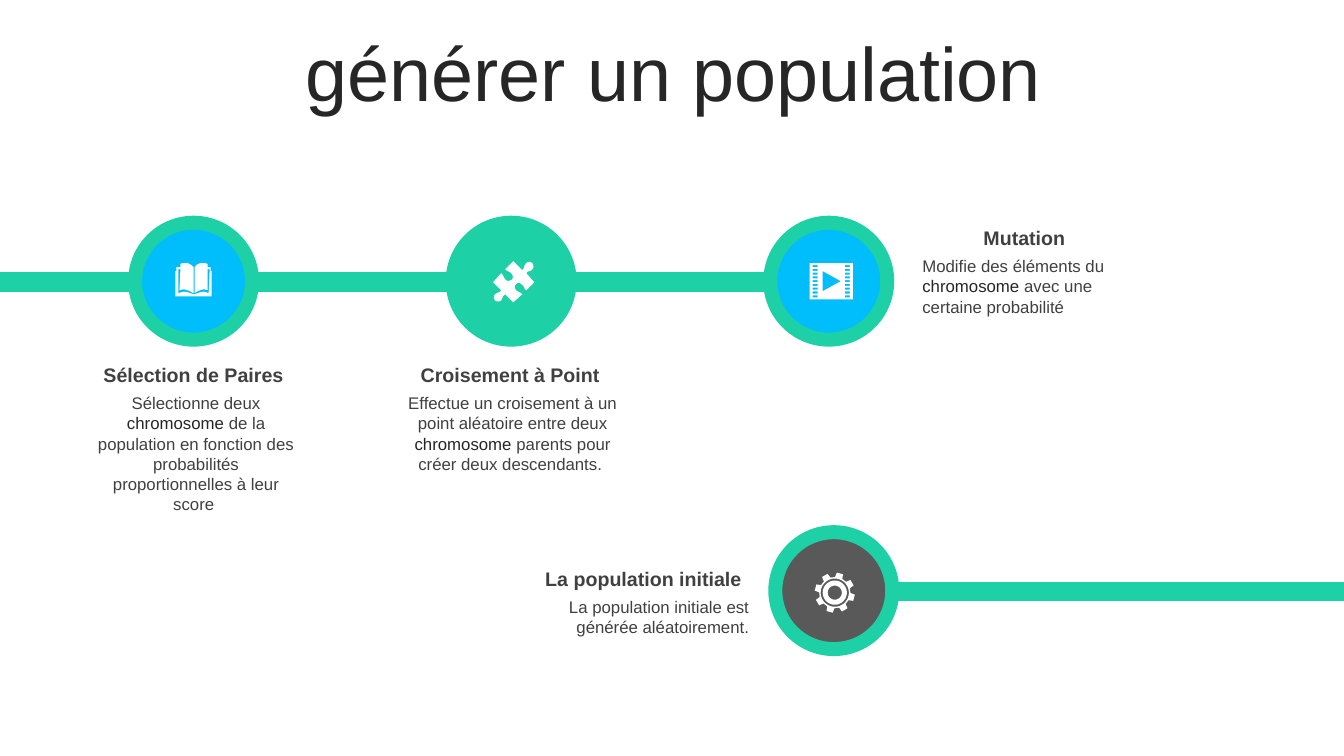
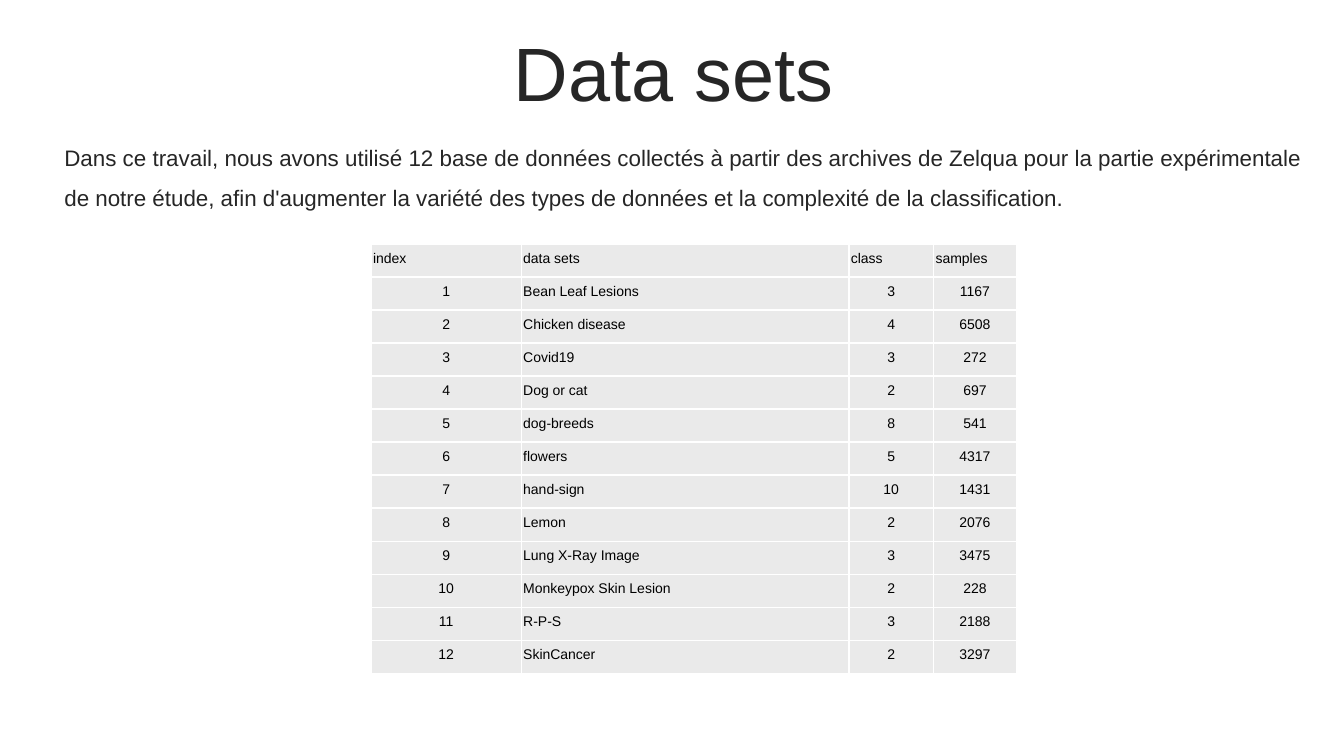
from math import cos, sin, radians

from lxml.etree import SubElement
from pptx import Presentation
from pptx.dml.color import RGBColor
from pptx.enum.shapes import MSO_CONNECTOR, MSO_SHAPE
from pptx.enum.text import MSO_ANCHOR as ANCHOR, PP_ALIGN as ALIGN
from pptx.oxml.ns import qn
from pptx.util import Inches, Pt

# Shared style
FONT = "Arial"
GREEN, BLUE, GRAY = "1ED0A6", "00BDFB", "595959"
INK, SOFT, BLACK, WHITE, CELL = "262626", "404040", "000000", "FFFFFF", "EAEAEA"

# Icon outlines: (x, y) is a corner, six numbers are a Bézier segment
PUZZLE = [
    (5.28, 2.61), (5.29, 2.63, 5.3, 2.65, 5.28, 2.67),
    (5.26, 2.7, 5.24, 2.68, 5.22, 2.71), (5.3, 2.8), (5.22, 2.88),
    (5.19, 2.86, 5.2, 2.83, 5.17, 2.82), (5.16, 2.8, 5.13, 2.8, 5.12, 2.82),
    (5.1, 2.83, 5.1, 2.86, 5.12, 2.88), (5.14, 2.9, 5.15, 2.89, 5.18, 2.92),
    (5.09, 3), (5.01, 2.92), (4.98, 2.94, 4.99, 2.95, 4.97, 2.98),
    (4.95, 3, 4.92, 2.99, 4.91, 2.98), (4.9, 2.97, 4.89, 2.94, 4.91, 2.92),
    (4.93, 2.9, 4.95, 2.91, 4.97, 2.88), (4.89, 2.8), (4.97, 2.71),
    (5, 2.73, 4.99, 2.76, 5.02, 2.78), (5.03, 2.79, 5.06, 2.79, 5.08, 2.77),
    (5.09, 2.76, 5.09, 2.73, 5.07, 2.71), (5.05, 2.69, 5.04, 2.7, 5.01, 2.67),
    (5.09, 2.59), (5.18, 2.68), (5.21, 2.65, 5.19, 2.64, 5.22, 2.61),
    (5.24, 2.59, 5.27, 2.6, 5.28, 2.61)]
BOOK = [
    (1.92, 2.92), (1.93, 2.92), (1.99, 2.9, 2.01, 2.88, 2.07, 2.91),
    (2.08, 2.67), (2.06, 2.67), (2.06, 2.88),
    (2.02, 2.86, 1.97, 2.88, 1.93, 2.91), (1.93, 2.65),
    (1.95, 2.62, 1.98, 2.61, 2.01, 2.61), (2.02, 2.61, 2.04, 2.61, 2.06, 2.62),
    (2.06, 2.65), (2.09, 2.65), (2.09, 2.69), (2.1, 2.69), (2.1, 2.94),
    (1.74, 2.94), (1.74, 2.69), (1.75, 2.69), (1.75, 2.65), (1.79, 2.65),
    (1.79, 2.62), (1.8, 2.61, 1.82, 2.61, 1.84, 2.61),
    (1.87, 2.61, 1.89, 2.62, 1.92, 2.65), (1.92, 2.91),
    (1.87, 2.88, 1.83, 2.86, 1.78, 2.88), (1.79, 2.67), (1.77, 2.67),
    (1.77, 2.91), (1.83, 2.88, 1.86, 2.9, 1.92, 2.92)]

DATA_SETS = [
    ("index", "data sets", "class", "samples"),
    ("1", "Bean Leaf Lesions", "3", "1167"),
    ("2", "Chicken disease", "4", "6508"),
    ("3", "Covid19", "3", "272"),
    ("4", "Dog or cat", "2", "697"),
    ("5", "dog-breeds", "8", "541"),
    ("6", "flowers", "5", "4317"),
    ("7", "hand-sign", "10", "1431"),
    ("8", "Lemon", "2", "2076"),
    ("9", "Lung X-Ray Image", "3", "3475"),
    ("10", "Monkeypox Skin Lesion", "2", "228"),
    ("11", "R-P-S", "3", "2188"),
    ("12", "SkinCancer", "2", "3297")]


def rgb(color):
    return RGBColor.from_string(color)


def set_font(p, size, color=None, bold=False):
    p.font.name, p.font.size, p.font.bold = FONT, Pt(size), bold
    if color:
        p.font.color.rgb = rgb(color)


def add_text(s, box, text, size, color, align=ALIGN.LEFT, anchor=ANCHOR.TOP,
             bold=False, spacing=None):
    """text is a string, or a list of (string, color) runs."""
    tf = s.shapes.add_textbox(*map(Inches, box)).text_frame
    tf.word_wrap, tf.vertical_anchor = True, anchor
    p = tf.paragraphs[0]
    p.alignment, p.line_spacing = align, spacing
    if isinstance(text, str):
        p.add_run().text = text
        set_font(p, size, color, bold)
        return
    set_font(p, size, bold=bold)
    for words, run_color in text:
        r = p.add_run()
        r.text = words
        r.font.color.rgb = rgb(run_color)


def add_title(s, text):
    add_text(s, (0.35, 0.37, 12.66, 0.79), text, 54, INK, ALIGN.CENTER,
             ANCHOR.MIDDLE, spacing=0.9)


# Timeline parts
def add_track(s, x1, x2, y):
    line = s.shapes.add_connector(MSO_CONNECTOR.STRAIGHT, Inches(x1), Inches(y),
                                  Inches(x2), Inches(y))
    line.line.color.rgb, line.line.width = rgb(GREEN), Pt(14)
    SubElement(line._element.spPr, qn("a:effectLst"))


def add_node(s, x, y, color):
    d = 1.16
    node = s.shapes.add_shape(MSO_SHAPE.OVAL, Inches(x), Inches(y), Inches(d), Inches(d))
    node.shadow.inherit = False
    node.fill.solid()
    node.fill.fore_color.rgb = rgb(color)
    node.line.color.rgb, node.line.width = rgb(GREEN), Pt(10)


def add_step(s, x, y, heading, body, height, align, heading_align=ALIGN.CENTER):
    add_text(s, (x, y, 2.28, 0.34), heading, 14, SOFT, heading_align,
             ANCHOR.MIDDLE, bold=True)
    add_text(s, (x + 0.03, y + 0.3, 2.27, height), body, 12, SOFT, align)


# Icons
def flatten(outline, steps=6):
    points = []
    for seg in outline:
        if len(seg) == 2:
            points.append(seg)
            continue
        ends = [points[-1], seg[:2], seg[2:4], seg[4:]]
        for i in range(1, steps + 1):
            t = i / steps
            weights = ((1 - t) ** 3, 3 * t * (1 - t) ** 2, 3 * t * t * (1 - t), t ** 3)
            points.append(tuple(sum(w * e[k] for w, e in zip(weights, ends))
                                for k in (0, 1)))
    return points


def add_icon(s, *contours):
    """Inner contours cut holes in the outer one."""
    builder = None
    for contour in contours:
        points = [(Inches(x), Inches(y)) for x, y in contour]
        if builder is None:
            builder = s.shapes.build_freeform(*points[0], scale=1.0)
        else:
            builder.move_to(*points[0])
        builder.add_line_segments(points[1:], close=True)
    icon = builder.convert_to_shape()
    icon.shadow.inherit = False
    icon.fill.solid()
    icon.fill.fore_color.rgb = rgb(WHITE)
    icon.line.fill.background()


def rect(x, y, w, h):
    return [(x, y), (x + w, y), (x + w, y + h), (x, y + h)]


def polar(cx, cy, r, angle):
    return cx + r * cos(radians(angle)), cy + r * sin(radians(angle))


def film(x, y):
    holes = [rect(x + dx, y + 0.02 + 0.0375 * i, 0.05, 0.02)
             for i in range(9) for dx in (0.03, 0.35)]
    play = [(x + 0.13, y + 0.08), (x + 0.13, y + 0.28), (x + 0.31, y + 0.18)]
    return [rect(x, y, 0.43, 0.36), play, *holes]


def gear(cx, cy):
    profile = ((-14, 0.155), (-9, 0.2), (9, 0.2), (14, 0.155))
    teeth = [polar(cx, cy, r, 15 + 45 * i + da) for i in range(8) for da, r in profile]
    rings = [[polar(cx, cy, r, a) for a in range(0, 360, 10)]
             for r in (0.14, 0.12, 0.07)]
    return [teeth, *rings]


# Slides
def population_slide(s):
    add_title(s, "générer un population")
    add_track(s, 0, 8.27, 2.8)
    add_track(s, 8.26, 13.33, 5.87)
    for i, color in enumerate((BLUE, GREEN, BLUE)):
        add_node(s, 1.34 + 3.15 * i, 2.21, color)
    add_node(s, 7.69, 5.28, GRAY)

    chromosome = ("chromosome ", INK)
    add_step(s, 0.78, 3.55, "Sélection de Paires",
             [("Sélectionne deux ", SOFT), chromosome,
              ("de la population en fonction des probabilités "
               "proportionnelles à leur score ", SOFT)], 1.31, ALIGN.CENTER)
    add_step(s, 3.92, 3.55, "Croisement à Point",
             [("Effectue un croisement à un point aléatoire entre deux ", SOFT),
              chromosome, ("parents pour créer deux descendants. ", SOFT)],
             1.11, ALIGN.CENTER)
    add_step(s, 9.02, 2.19, "Mutation",
             [("Modifie des éléments du ", SOFT), chromosome,
              ("avec une certaine probabilité", SOFT)], 0.71, ALIGN.LEFT)
    add_step(s, 5.23, 5.57, "La population initiale ",
             "La population initiale est générée aléatoirement.",
             0.5, ALIGN.RIGHT, ALIGN.RIGHT)

    add_icon(s, flatten(PUZZLE))
    add_icon(s, flatten(BOOK))
    add_icon(s, *film(8.03, 2.61))
    add_icon(s, *gear(8.28, 5.88))


def style_cell(cell, text, align):
    cell.margin_left = cell.margin_right = Inches(0.02)
    cell.margin_top, cell.margin_bottom = Inches(0.01), Inches(0.05)
    cell.vertical_anchor = ANCHOR.MIDDLE
    tc_pr = cell._tc.get_or_add_tcPr()
    for side in ("lnL", "lnR", "lnT", "lnB"):
        border = SubElement(tc_pr, qn(f"a:{side}"), w=str(Pt(1)))
        SubElement(SubElement(border, qn("a:solidFill")), qn("a:srgbClr"), val=WHITE)
    cell.fill.solid()
    cell.fill.fore_color.rgb = rgb(CELL)
    cell.text = text
    p = cell.text_frame.paragraphs[0]
    p.alignment = align
    set_font(p, 10, BLACK)


def add_data_table(s, rows, box, widths):
    table = s.shapes.add_table(len(rows), len(widths), *map(Inches, box)).table
    table.first_row = table.horz_banding = False
    for column, width in zip(table.columns, widths):
        column.width = Inches(width)
    for i, row in enumerate(rows):
        for j, text in enumerate(row):
            align = ALIGN.LEFT if i == 0 or j == 1 else ALIGN.CENTER
            style_cell(table.cell(i, j), text, align)


def data_sets_slide(s):
    add_title(s, "Data sets")
    add_text(s, (0.54, 1.25, 12.47, 1.1),
             "Dans ce travail, nous avons utilisé 12 base de données collectés à partir "
             "des archives de Zelqua pour la partie expérimentale de notre étude, afin "
             "d'augmenter la variété des types de données et la complexité de la "
             "classification.", 16, INK, ALIGN.JUSTIFY, spacing=1.5)
    add_data_table(s, DATA_SETS, (3.68, 2.42, 6.4, 4.26), (1.49, 3.25, 0.84, 0.82))


def main():
    prs = Presentation()
    prs.slide_width, prs.slide_height = Inches(13.33), Inches(7.5)
    for build in (population_slide, data_sets_slide):
        build(prs.slides.add_slide(prs.slide_layouts[6]))
    prs.save("out.pptx")


if __name__ == "__main__":
    main()
